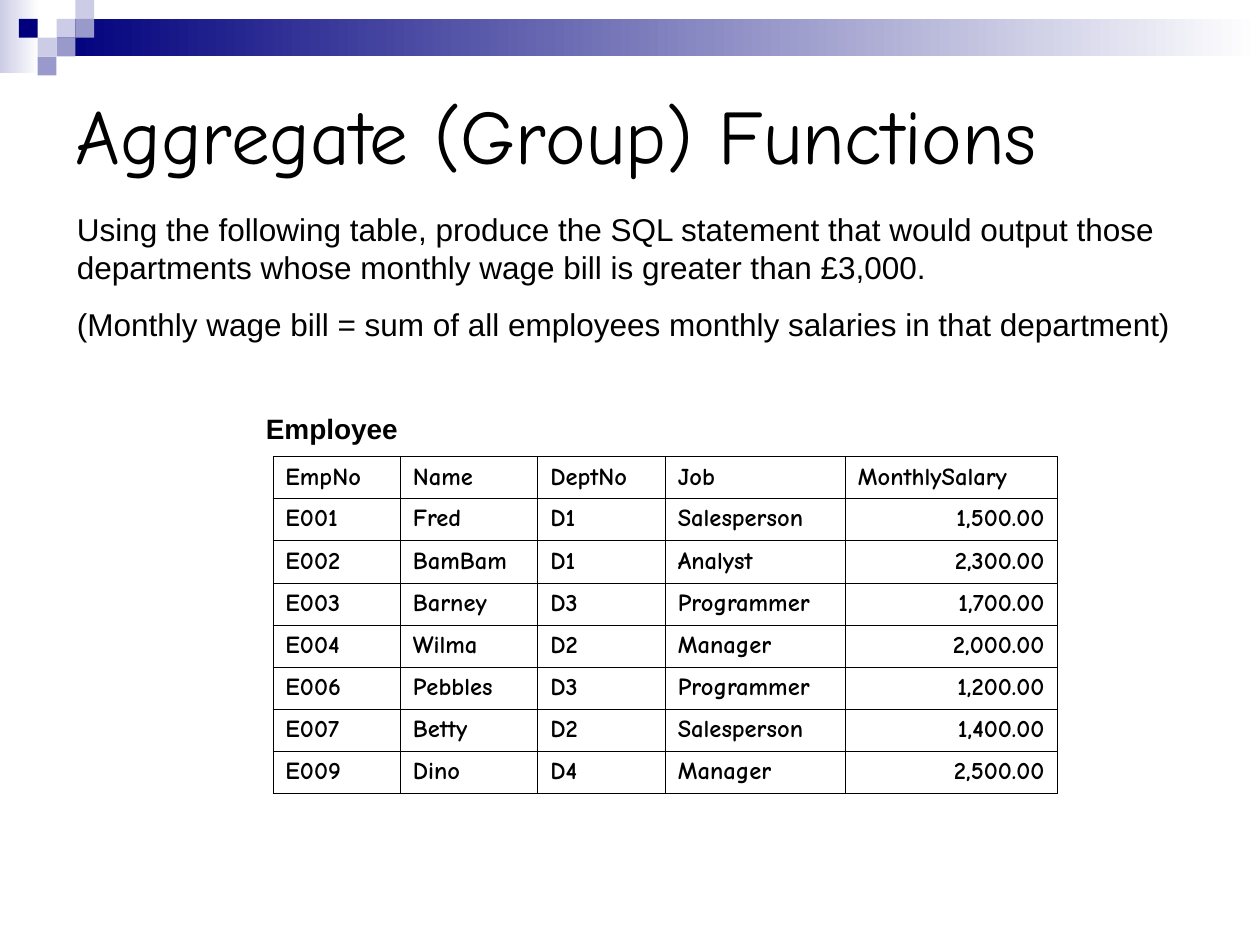
"""Build a slide with an SQL grouping exercise and its employee table."""
from lxml.etree import SubElement
from pptx import Presentation
from pptx.dml.color import RGBColor
from pptx.enum.shapes import MSO_SHAPE
from pptx.enum.text import MSO_ANCHOR, MSO_AUTO_SIZE, PP_ALIGN
from pptx.oxml.ns import qn
from pptx.util import Cm, Pt


def color(value):
    return RGBColor.from_string(value)


def set_font(paragraph, name, size, bold=False):
    paragraph.font.name = name
    paragraph.font.size = Pt(size)
    paragraph.font.bold = bold
    paragraph.font.color.rgb = color("000000")


NAVY, MID, PALE, WHITE = "00007D", "9999CC", "CCCCE6", "FFFFFF"

deck = Presentation()
deck.slide_width, deck.slide_height = Cm(25.4), Cm(19.05)
page = deck.slides.add_slide(deck.slide_layouts[5])

unit = 0.38
bands = [
    (0, 0, 0.79, 1.47, PALE),
    (3 * unit, unit, 25.4 - 3 * unit, 2 * unit, NAVY),
]
for left, top, width, height, start in bands:
    band = page.shapes.add_shape(MSO_SHAPE.RECTANGLE, Cm(left), Cm(top), Cm(width), Cm(height))
    band.shadow.inherit = False
    band.line.fill.background()
    band.fill.gradient()
    band.fill.gradient_angle = 0
    for stop, value in zip(band.fill.gradient_stops, (start, WHITE)):
        stop.color.rgb = color(value)

squares = [(3, 1, PALE), (4, 0, PALE), (4, 1, MID), (2, 2, PALE), (1, 1, NAVY), (3, 2, MID), (2, 3, MID)]
for column, row, value in squares:
    square = page.shapes.add_shape(
        MSO_SHAPE.RECTANGLE, Cm(column * unit), Cm(row * unit), Cm(unit), Cm(unit))
    square.shadow.inherit = False
    square.line.fill.background()
    square.fill.solid()
    square.fill.fore_color.rgb = color(value)

title = page.shapes.title
title.left, title.top, title.width, title.height = Cm(1.27), Cm(1.27), Cm(22.86), Cm(2.85)
title.text_frame.text = "Aggregate (Group) Functions"
title.text_frame.auto_size = MSO_AUTO_SIZE.NONE
title.text_frame.vertical_anchor = MSO_ANCHOR.MIDDLE
title.text_frame.paragraphs[0].alignment = PP_ALIGN.LEFT
set_font(title.text_frame.paragraphs[0], "Comic Neue", 44)

texts = [
    (1.3, 4.11, 22.81, 2.95, 18, False, [
        "Using the following table, produce the SQL statement that would output those "
        "departments whose monthly wage bill is greater than £3,000.",
        "(Monthly wage bill = sum of all employees monthly salaries in that department)",
    ]),
    (5.11, 8.18, 3.61, 0.94, 16, True, ["Employee"]),
]
for left, top, width, height, size, bold, lines in texts:
    box = page.shapes.add_textbox(Cm(left), Cm(top), Cm(width), Cm(height))
    box.text_frame.word_wrap = True
    box.text_frame.text = "\n".join(lines)
    for index, paragraph in enumerate(box.text_frame.paragraphs):
        set_font(paragraph, "Arial", size, bold)
        if index:
            paragraph.space_before = Pt(11.2)

employees = [
    ("EmpNo", "Name", "DeptNo", "Job", "MonthlySalary"),
    ("E001", "Fred", "D1", "Salesperson", "1,500.00"),
    ("E002", "BamBam", "D1", "Analyst", "2,300.00"),
    ("E003", "Barney", "D3", "Programmer", "1,700.00"),
    ("E004", "Wilma", "D2", "Manager", "2,000.00"),
    ("E006", "Pebbles", "D3", "Programmer", "1,200.00"),
    ("E007", "Betty", "D2", "Salesperson", "1,400.00"),
    ("E009", "Dino", "D4", "Manager", "2,500.00"),
]
widths = [2.57, 2.77, 2.57, 3.63, 4.27]
row_height = 0.85
table = page.shapes.add_table(
    len(employees), len(widths), Cm(5.5), Cm(9.2),
    Cm(sum(widths)), Cm(row_height * len(employees))).table
table.first_row = table.horz_banding = False
for column, width in zip(table.columns, widths):
    column.width = Cm(width)
for row, record in enumerate(employees):
    table.rows[row].height = Cm(row_height)
    for column, value in enumerate(record):
        cell = table.cell(row, column)
        cell.text = value
        cell.vertical_anchor = MSO_ANCHOR.TOP if row else MSO_ANCHOR.MIDDLE
        paragraph = cell.text_frame.paragraphs[0]
        set_font(paragraph, "Comic Neue", 14, True)
        if row and column == len(widths) - 1:
            paragraph.alignment = PP_ALIGN.RIGHT
        properties = cell._tc.get_or_add_tcPr()
        for side in ("a:lnL", "a:lnR", "a:lnT", "a:lnB"):
            border = SubElement(properties, qn(side), w=str(Pt(0.34)))
            fill = SubElement(border, qn("a:solidFill"))
            SubElement(fill, qn("a:srgbClr"), val="000000")
        cell.fill.background()

deck.save("out.pptx")
